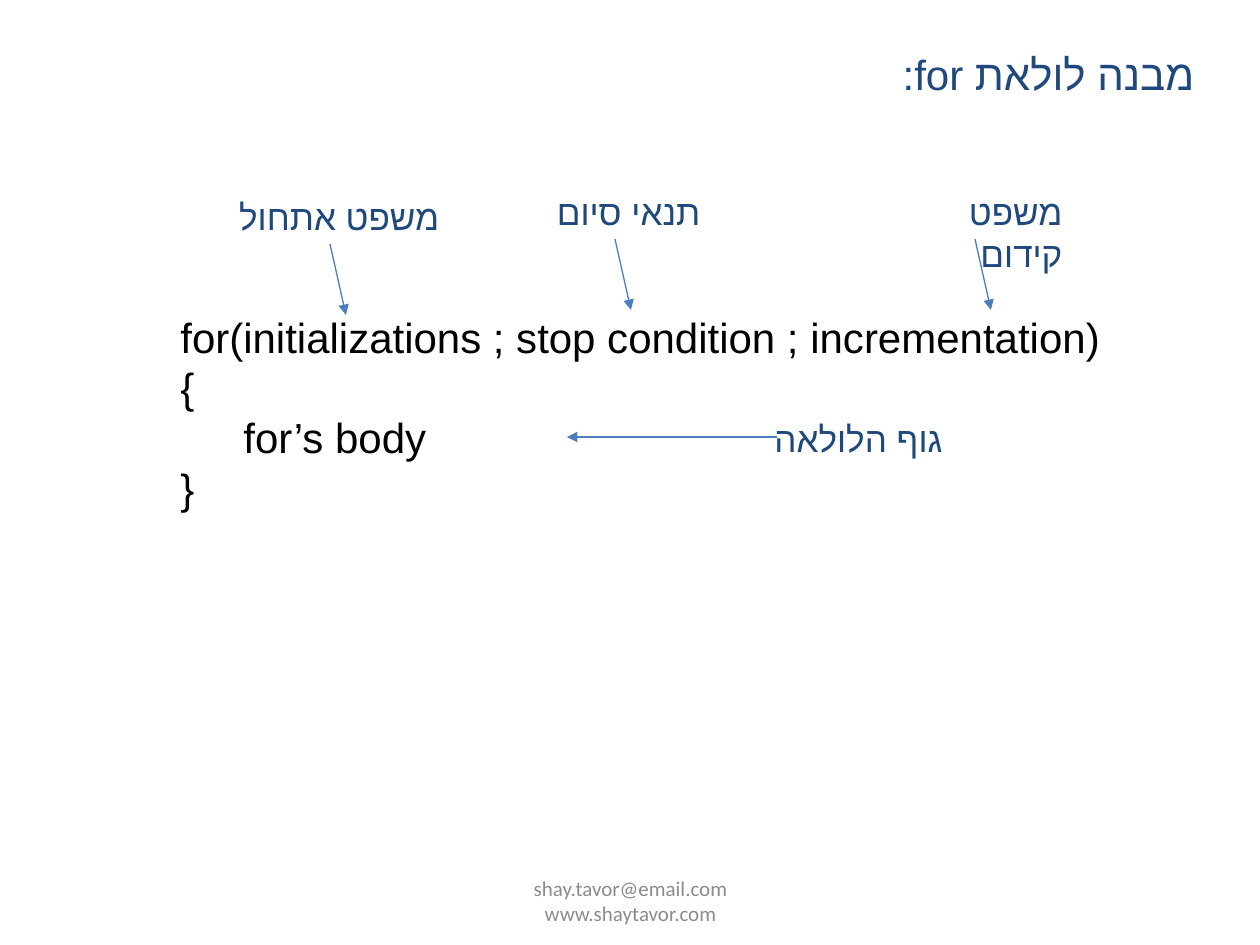
from pptx import Presentation
from pptx.dml.color import RGBColor
from pptx.enum.shapes import MSO_CONNECTOR
from pptx.enum.text import MSO_ANCHOR, MSO_AUTO_SIZE, PP_ALIGN
from pptx.oxml.ns import qn
from pptx.util import Pt
from lxml.etree import SubElement

EMU_PER_PX = 914400 // 126
COLORS = {"heading": "1F497D", "code": "000000", "arrow": "4B7EBC", "footer": "8C8C8C"}


def px(length):
    return length * EMU_PER_PX


class SlideBuilder:
    """Holds the style and the current slide."""

    def __init__(self, presentation):
        self.slide = presentation.slides.add_slide(presentation.slide_layouts[5])

    def set_text(self, shape, lines, size, color, font="Arial", align=PP_ALIGN.RIGHT,
                 rtl=True, anchor=MSO_ANCHOR.TOP):
        frame = shape.text_frame
        frame.word_wrap = True
        frame.auto_size = MSO_AUTO_SIZE.NONE
        frame.vertical_anchor = anchor
        for index, line in enumerate(lines):
            paragraph = frame.add_paragraph() if index else frame.paragraphs[0]
            paragraph.alignment = align
            if rtl:
                paragraph._p.get_or_add_pPr().set("rtl", "1")
            run = paragraph.add_run()
            run.text = line
            run.font.name = font
            run.font.size = Pt(size)
            run.font.color.rgb = RGBColor.from_string(COLORS[color])
            # Hebrew letters take the complex-script font
            SubElement(run._r.get_or_add_rPr(), qn("a:cs"), typeface=font)

    def title(self, box, text):
        shape = self.slide.shapes.title
        shape.left, shape.top, shape.width, shape.height = map(px, box)
        self.set_text(shape, [text], 24, "heading")

    def text(self, box, lines, size, color, **style):
        shape = self.slide.shapes.add_textbox(*map(px, box))
        self.set_text(shape, lines, size, color, **style)

    def arrow(self, start, end):
        connector = self.slide.shapes.add_connector(
            MSO_CONNECTOR.STRAIGHT, *map(px, start + end))
        connector.line.color.rgb = RGBColor.from_string(COLORS["arrow"])
        connector.line.width = Pt(0.75)
        properties = connector._element.spPr
        SubElement(properties.find(qn("a:ln")), qn("a:tailEnd"), type="triangle")
        SubElement(properties, qn("a:effectLst"))


def main():
    presentation = Presentation()
    presentation.slide_width, presentation.slide_height = px(1260), px(945)
    builder = SlideBuilder(presentation)

    builder.title((514, 42, 693, 63), "מבנה לולאת for:")

    # Loop code
    builder.text((168, 305, 987, 217),
                 ["for(initializations ; stop condition ; incrementation)",
                  "{", "\tfor’s body", "}"],
                 24, "code", align=PP_ALIGN.LEFT, rtl=False)

    # Labels above the loop header, each with an arrow down to its part
    for text, left, top, width, arrow_left in (
            ("משפט אתחול", 210, 189, 242, 330),
            ("תנאי סיום", 514, 184, 199, 615),
            ("משפט קידום", 876, 184, 199, 975)):
        builder.text((left, top, width, 55), [text], 20, "heading")
        builder.arrow((arrow_left, top + 55), (arrow_left + 16, top + 126))

    # Label beside the loop body
    builder.text((756, 411, 199, 55), ["גוף הלולאה"], 20, "heading")
    builder.arrow((777, 437), (567, 437))

    # Footer
    builder.text((431, 876, 399, 50), ["shay.tavor@email.com", "www.shaytavor.com"],
                 12, "footer", font="Calibri", align=PP_ALIGN.CENTER,
                 anchor=MSO_ANCHOR.MIDDLE)

    presentation.save("out.pptx")


if __name__ == "__main__":
    main()
